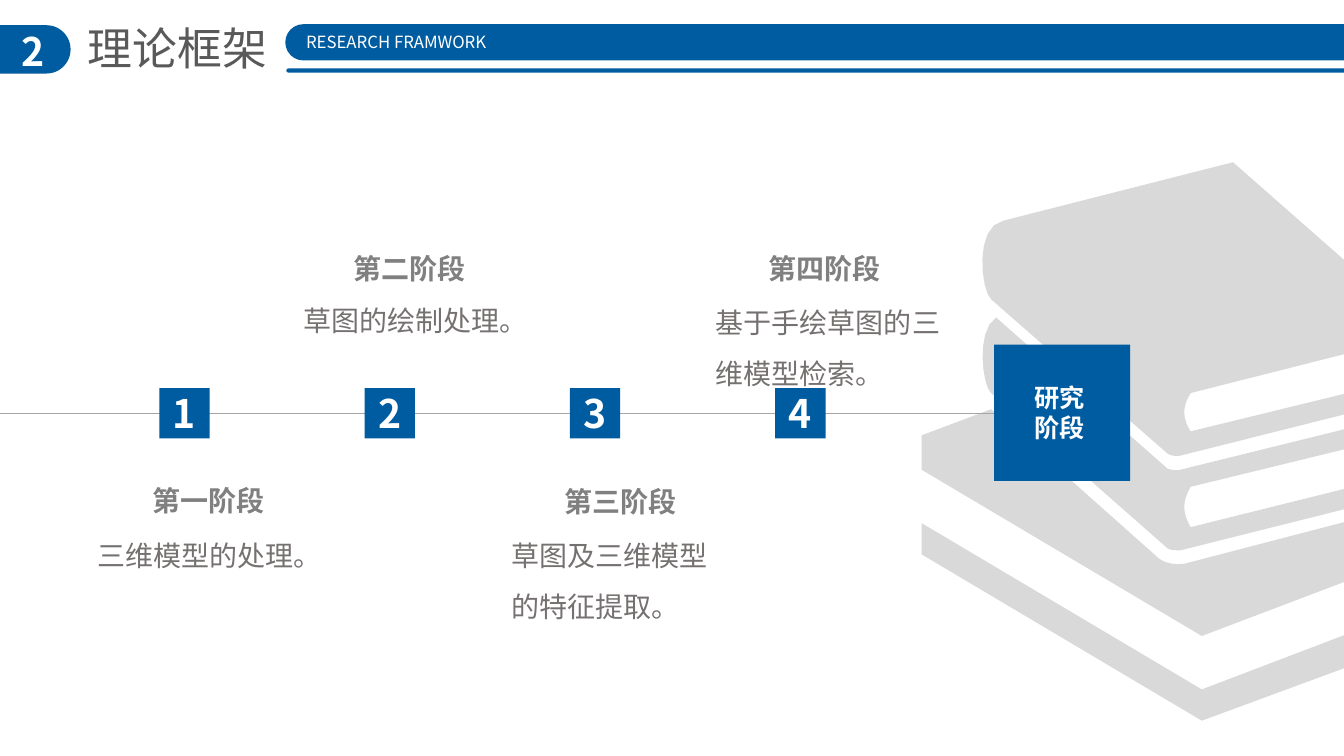
from lxml import etree
from pptx import Presentation
from pptx.dml.color import RGBColor
from pptx.enum.shapes import MSO_CONNECTOR, MSO_SHAPE
from pptx.enum.text import MSO_ANCHOR, MSO_AUTO_SIZE, PP_ALIGN
from pptx.oxml.ns import qn
from pptx.util import Inches, Pt

RECT, ROUND = MSO_SHAPE.RECTANGLE, MSO_SHAPE.ROUNDED_RECTANGLE
LEFT, CENTER = PP_ALIGN.LEFT, PP_ALIGN.CENTER
TOP, NO_FIT = MSO_ANCHOR.TOP, MSO_AUTO_SIZE.NONE
STRAIGHT = MSO_CONNECTOR.STRAIGHT
FACE = "Noto Sans CJK SC"
BLUE, WHITE, PALE = "005CA1", "FFFFFF", "D9D9D9"
DARK, HEAD, BODY, RULE = "595959", "808080", "767171", "A6A6A6"

BOOKS = [
    [(13.98, 4.1), (13.98, 4.3), (11.81, 4.83),
     (11.72, 4.98, 11.73, 5.1, 11.81, 5.23), (13.98, 4.69), (13.98, 4.89),
     (11.71, 5.46), (11.66, 5.46, 11.61, 5.46, 11.58, 5.44), (9.83, 3.9),
     (9.75, 3.84, 9.67, 3.29, 9.88, 3.15), (11.58, 4.65),
     (11.61, 4.66, 11.66, 4.67, 11.71, 4.66)],
    [(9.95, 2.19), (12.23, 1.61), (13.98, 3.15), (13.98, 3.35), (11.81, 3.9),
     (11.72, 4.04, 11.73, 4.16, 11.81, 4.28), (13.98, 3.75), (13.98, 3.95),
     (11.71, 4.52), (11.66, 4.53, 11.61, 4.52, 11.58, 4.5), (9.83, 2.97),
     (9.73, 2.88, 9.66, 2.25, 9.95, 2.19)],
    [(11.92, 6.84), (9.14, 5.19), (9.14, 5.5), (11.92, 7.15), (13.52, 6.56),
     (13.52, 6.23)],
    [(14.33, 5.78), (13.66, 6.02), (13.66, 7.01), (13.99, 6.61),
     (14.33, 6.76), (14.33, 6.26), (14.62, 6.15),
     (14.76, 6.09, 14.81, 6.04, 14.81, 5.91), (14.81, 5.13),
     (14.81, 5.07, 14.78, 5.02, 14.73, 4.99), (14.1, 4.62), (14.1, 4.98),
     (11.76, 5.59), (11.66, 5.61, 11.53, 5.59, 11.46, 5.51), (9.83, 4.06),
     (9.14, 4.32), (9.14, 4.66), (11.92, 6.31), (14.5, 5.33), (14.5, 5.85),
     (14.33, 5.92)],
]

PHASES = [
    ("第一阶段", (1.41, 4.75, 1.62, 0.44),
     "三维模型的处理。", (0.87, 5.13, 2.43, 1.05)),
    ("第二阶段", (3.41, 2.45, 1.62, 0.44),
     "草图的绘制处理。", (2.91, 2.79, 2.49, 1.05)),
    ("第三阶段", (5.5, 4.76, 1.62, 0.44),
     "草图及三维模型的特征提取。", (4.97, 5.13, 2.38, 1.05)),
    ("第四阶段", (7.52, 2.45, 1.62, 0.44),
     "基于手绘草图的三维模型检索。", (7, 2.82, 2.53, 1.56)),
]


def color(code):
    """Turn a hex string into a colour."""
    return RGBColor.from_string(code)


def trace(steps, parts=8):
    """Turn corners (two numbers) and curves (six) into points in EMU."""
    points = []
    for step in steps:
        if len(step) == 2:
            points.append(step)
            continue
        ends = [points[-1], step[:2], step[2:4], step[4:]]
        for i in range(1, parts + 1):
            t = i / parts
            u = 1 - t
            mix = (u ** 3, 3 * u * u * t, 3 * u * t * t, t ** 3)
            points.append(tuple(sum(m * p[axis] for m, p in zip(mix, ends))
                                for axis in (0, 1)))
    return [(Inches(x), Inches(y)) for x, y in points]


class Board:
    """Hold the style and the current slide."""

    def __init__(self, slide):
        """Keep the shapes to draw with."""
        self.shapes = slide.shapes

    def paint(self, shape, fill):
        """Give a shape a plain fill with no line or shadow."""
        shape.shadow.inherit = False
        shape.fill.solid()
        shape.fill.fore_color.rgb = color(fill)
        shape.line.fill.background()

    def block(self, kind, box, fill=BLUE):
        """Add a filled preset shape."""
        shape = self.shapes.add_shape(kind, *map(Inches, box))
        if kind == ROUND:
            shape.adjustments[0] = 0.5
        self.paint(shape, fill)

    def outline(self, loops, fill):
        """Add one freeform made of closed loops."""
        first, *rest = map(trace, loops)
        pen = self.shapes.build_freeform(*first[0], scale=1.0)
        pen.add_line_segments(first[1:], close=True)
        for loop in rest:
            pen.move_to(*loop[0])
            pen.add_line_segments(loop[1:], close=True)
        self.paint(pen.convert_to_shape(), fill)

    def line(self, start, end, ink, width):
        """Add a straight line."""
        rule = self.shapes.add_connector(
            STRAIGHT, *map(Inches, start + end))
        rule.line.color.rgb = color(ink)
        rule.line.width = Pt(width)
        etree.SubElement(rule._element.spPr, qn("a:effectLst"))

    def label(self, shape, words, size, ink, bold=False, align=LEFT,
              wrap=True, space=1.0):
        """Fill a shape with one styled paragraph."""
        frame = shape.text_frame
        frame.text = words
        frame.word_wrap = wrap
        frame.auto_size = NO_FIT
        frame.vertical_anchor = TOP
        para = frame.paragraphs[0]
        para.alignment = align
        para.line_spacing = space
        font = para.font
        font.size, font.bold, font.name = Pt(size), bold, FACE
        font.color.rgb = color(ink)
        etree.SubElement(font._element, qn("a:ea"), typeface=FACE)

    def text(self, box, words, size, ink, **style):
        """Add a text box."""
        shape = self.shapes.add_textbox(*map(Inches, box))
        self.label(shape, words, size, ink, **style)

    def title(self, box, words, size, ink):
        """Place and format the title."""
        shape = self.shapes.title
        shape.left, shape.top, shape.width, shape.height = map(Inches, box)
        self.label(shape, words, size, ink, wrap=False)

    def digit(self, box, number):
        """Add a large white number."""
        self.text(box, str(number), 28, WHITE, bold=True, align=CENTER)


def main():
    """Build the slide and save it."""
    deck = Presentation()
    deck.slide_width, deck.slide_height = Inches(13.33), Inches(7.5)
    board = Board(deck.slides.add_slide(deck.slide_layouts[5]))

    board.outline(BOOKS, PALE)
    board.block(ROUND, (-0.28, 0.25, 0.98, 0.48))
    board.digit((0.07, 0.22, 0.51, 0.57), 2)
    board.title((0.77, 0.16, 2, 0.64), "理论框架", 32, DARK)

    board.line((-0.14, 4.1), (9.86, 4.1), RULE, 0.5)
    for i, (name, spot, note, area) in enumerate(PHASES):
        board.text(spot, name, 20, HEAD, bold=True, wrap=False)
        board.text(area, note, 20, BODY, space=1.5)
        left = 1.58 + 2.036 * i
        board.block(RECT, (left, 3.85, 0.5, 0.5))
        board.digit((left - 0.1, 3.81, 0.7, 0.57), i + 1)
    board.block(RECT, (9.86, 3.42, 1.35, 1.35))
    board.text((10.16, 3.74, 0.74, 0.71), "研究阶段", 18, WHITE, bold=True)

    board.block(ROUND, (2.83, 0.24, 11.03, 0.36))
    board.block(ROUND, (2.84, 0.68, 11.03, 0.04))
    board.text((2.87, 0.27, 2.12, 0.3), "RESEARCH FRAMWORK", 12, WHITE,
               align=CENTER, wrap=False)
    deck.save("out.pptx")


if __name__ == "__main__":
    main()
